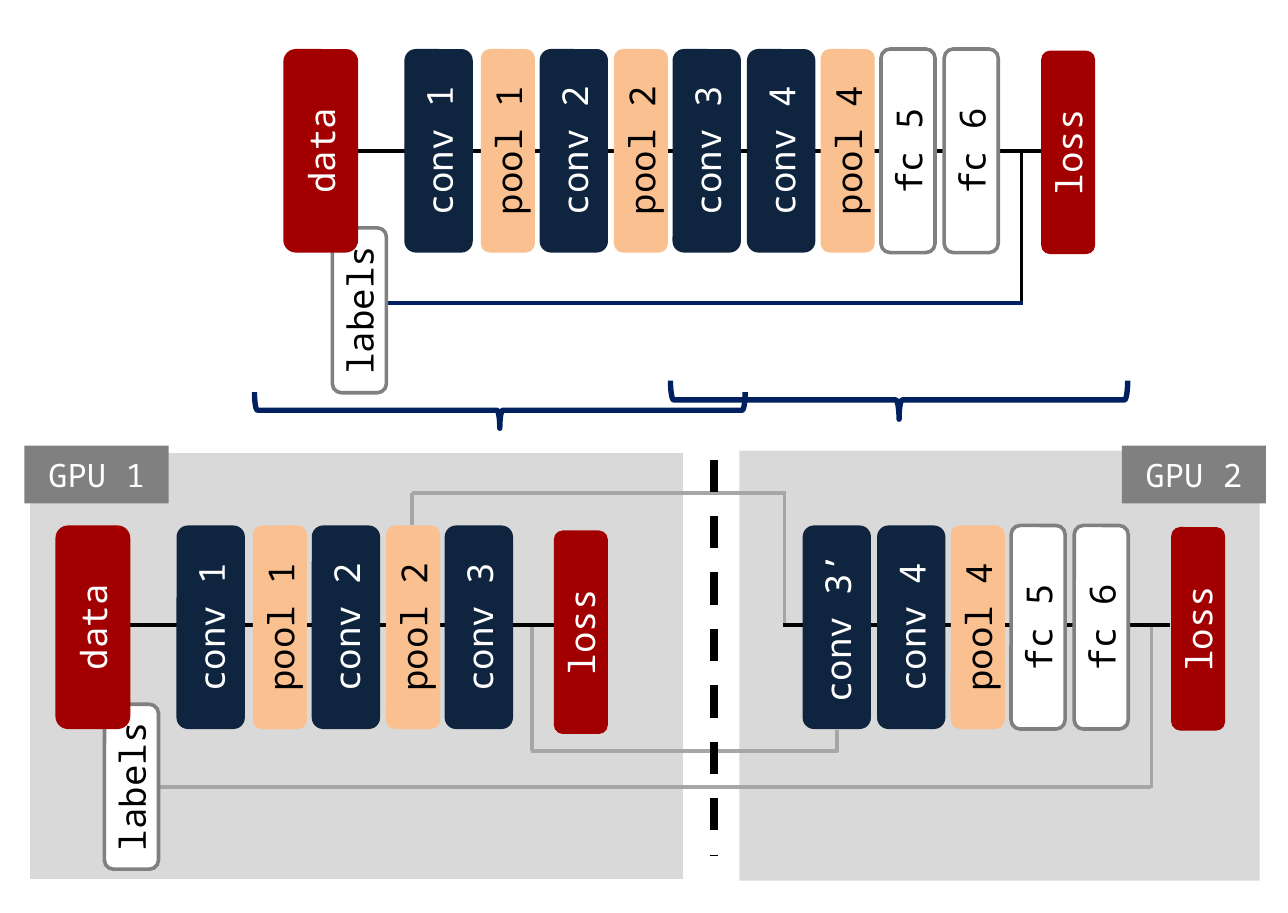
"""Build a slide that splits one neural network between two GPUs."""
from dataclasses import dataclass
from typing import Optional

import pptx
import pptx.dml.color
import pptx.enum.dml
import pptx.enum.shapes
import pptx.enum.text
import pptx.oxml
import pptx.oxml.ns
import pptx.util

Pt = pptx.util.Pt
PRESET = pptx.enum.shapes.MSO_SHAPE


@dataclass(frozen=True)
class Theme:
    font: str = "Noto Sans Mono"
    layer_size: float = 20
    gpu_size: float = 18
    navy: str = "0F243E"
    peach: str = "FAC090"
    red: str = "A20000"
    white: str = "FFFFFF"
    black: str = "000000"
    grey: str = "808080"
    panel: str = "D9D9D9"
    link: str = "A6A6A6"
    blue: str = "002060"


@dataclass(frozen=True)
class Style:
    width: float
    fill: str
    ink: str
    outline: Optional[str] = None
    height: float = 113.8


@dataclass(frozen=True)
class Layer:
    style: Style
    left: float
    top: float = 27.4


@dataclass(frozen=True)
class Wire:
    x1: float
    y1: float
    x2: float
    y2: float
    color: str
    width: float = 2
    dashed: bool = False


@dataclass(frozen=True)
class Gpu:
    name: str
    panel_left: float
    panel_width: float
    tag_left: float
    outline: Optional[str] = None


THEME = Theme()
CONV = Style(38.2, THEME.navy, THEME.white)
POOL = Style(30.2, THEME.peach, THEME.black)
FC = Style(30.2, THEME.white, THEME.black, THEME.grey)
LABELS = Style(30.2, THEME.white, THEME.black, THEME.grey, 92.2)
DATA = Style(41.8, THEME.red, THEME.white)
LOSS = Style(30.2, THEME.red, THEME.white)

NETWORK = {
    "labels": Layer(LABELS, 185.8, 127.4),
    "data": Layer(DATA, 158.4),
    "conv 1": Layer(CONV, 226.1),
    "pool 1": Layer(POOL, 268.8),
    "conv 2": Layer(CONV, 301.7),
    "pool 2": Layer(POOL, 343.2),
    "conv 3": Layer(CONV, 376),
    "conv 4": Layer(CONV, 417.6),
    "pool 4": Layer(POOL, 458.8),
    "fc 5": Layer(FC, 492.5),
    "fc 6": Layer(FC, 527.8),
    "loss": Layer(LOSS, 582, 28.3),
}
NAMES = list(NETWORK)
FIRST_HALF = NAMES[:NAMES.index("conv 4")]
SECOND_HALF = NAMES[NAMES.index("conv 4"):]
GPU_1_SHIFT, GPU_2_SHIFT, GPU_DROP = -127.4, 72.7, 266.4

GPUS = [
    Gpu("GPU 1", 15.8, 367.2, 13.7, THEME.white),
    Gpu("GPU 2", 413.3, 290.9, 627.1),
]
WIRES = [
    Wire(189.4, 84.5, 596.9, 84.5, THEME.black),
    Wire(571, 84.5, 571, 169.4, THEME.black),
    Wire(194.4, 169.4, 571.7, 169.4, THEME.blue),
    Wire(72.7, 349.4, 324.7, 349.4, THEME.black),
    Wire(437.8, 349.4, 653.8, 349.4, THEME.black),
    Wire(643.7, 350.6, 643.7, 440.6, THEME.link),
    Wire(88.6, 440, 643.7, 440, THEME.link),
    Wire(230.4, 275.8, 230.4, 293.8, THEME.link),
    Wire(230.4, 275.8, 439.2, 275.8, THEME.link),
    Wire(438.5, 276.5, 438.5, 348.5, THEME.link),
    Wire(297.4, 350.6, 297.4, 419.8, THEME.link),
    Wire(296.6, 419.8, 468.7, 419.8, THEME.link),
    Wire(468, 408.2, 468, 420.5, THEME.link),
    Wire(398.9, 257, 398.9, 478.8, THEME.black, 4.5, True),
]
BRACES = [(269.3, 92.2, 20.2, 274.3), (491.8, 95.8, 21.6, 255.6)]


def rgb(color: str) -> pptx.dml.color.RGBColor:
    """Turn a hex string into a colour."""
    return pptx.dml.color.RGBColor.from_string(color)


def add_block(slide, preset, box: tuple, fill: Optional[str],
              outline: Optional[str] = None, weight: float = 2):
    """Add a flat preset shape and return it."""
    block = slide.shapes.add_shape(preset, *map(Pt, box))
    block.shadow.inherit = False
    if fill:
        block.fill.solid()
        block.fill.fore_color.rgb = rgb(fill)
    else:
        block.fill.background()
    if outline:
        block.line.color.rgb = rgb(outline)
        block.line.width = Pt(weight)
    else:
        block.line.fill.background()
    return block


def write(block, caption: str, size: float, ink: str) -> None:
    """Centre a caption in a block."""
    block.text_frame.vertical_anchor = pptx.enum.text.MSO_ANCHOR.MIDDLE
    line = block.text_frame.paragraphs[0]
    line.text = caption
    line.alignment = pptx.enum.text.PP_ALIGN.CENTER
    line.font.name = THEME.font
    line.font.size = Pt(size)
    line.font.color.rgb = rgb(ink)


def add_layer(slide, caption: str, layer: Layer, dx: float = 0, dy: float = 0) -> None:
    """Add one network layer with upward text."""
    style = layer.style
    box = (layer.left + dx, layer.top + dy, style.width, style.height)
    block = add_block(slide, PRESET.ROUNDED_RECTANGLE, box, style.fill, style.outline)
    write(block, caption, THEME.layer_size, style.ink)
    block.element.txBody.find(pptx.oxml.ns.qn("a:bodyPr")).set("vert", "vert270")


def add_wire(slide, wire: Wire) -> None:
    """Add a straight connector without shadow."""
    ends = map(Pt, (wire.x1, wire.y1, wire.x2, wire.y2))
    link = slide.shapes.add_connector(pptx.enum.shapes.MSO_CONNECTOR.STRAIGHT, *ends)
    link.line.color.rgb = rgb(wire.color)
    link.line.width = Pt(wire.width)
    if wire.dashed:
        link.line.dash_style = pptx.enum.dml.MSO_LINE.DASH
    effects = pptx.oxml.parse_xml(f"<a:effectLst {pptx.oxml.ns.nsdecls('a')}/>")
    link.element.spPr.append(effects)


def build() -> None:
    """Draw the whole slide and save it."""
    deck = pptx.Presentation()
    deck.slide_width, deck.slide_height = Pt(720), Pt(510.48)
    slide = deck.slides.add_slide(deck.slide_layouts.get_by_name("Blank"))

    for gpu in GPUS:
        box = (gpu.panel_left, 252, gpu.panel_width, 240.5)
        add_block(slide, PRESET.RECTANGLE, box, THEME.panel, gpu.outline, 2.25)
    for wire in WIRES:
        add_wire(slide, wire)
    for name, layer in NETWORK.items():
        add_layer(slide, name, layer)
    for name in FIRST_HALF:
        add_layer(slide, name, NETWORK[name], GPU_1_SHIFT, GPU_DROP)
    add_layer(slide, "loss", Layer(LOSS, 309.6, 296.6))
    add_layer(slide, "conv 3’", NETWORK["conv 3"], GPU_2_SHIFT, GPU_DROP)
    for name in SECOND_HALF:
        add_layer(slide, name, NETWORK[name], GPU_2_SHIFT, GPU_DROP)
    for gpu in GPUS:
        tag = add_block(slide, PRESET.RECTANGLE, (gpu.tag_left, 249.1, 80.6, 32.4), THEME.grey)
        write(tag, gpu.name, THEME.gpu_size, THEME.white)
    for box in BRACES:
        add_block(slide, PRESET.LEFT_BRACE, box, None, THEME.blue, 3).rotation = 270
    deck.save("out.pptx")


build()
